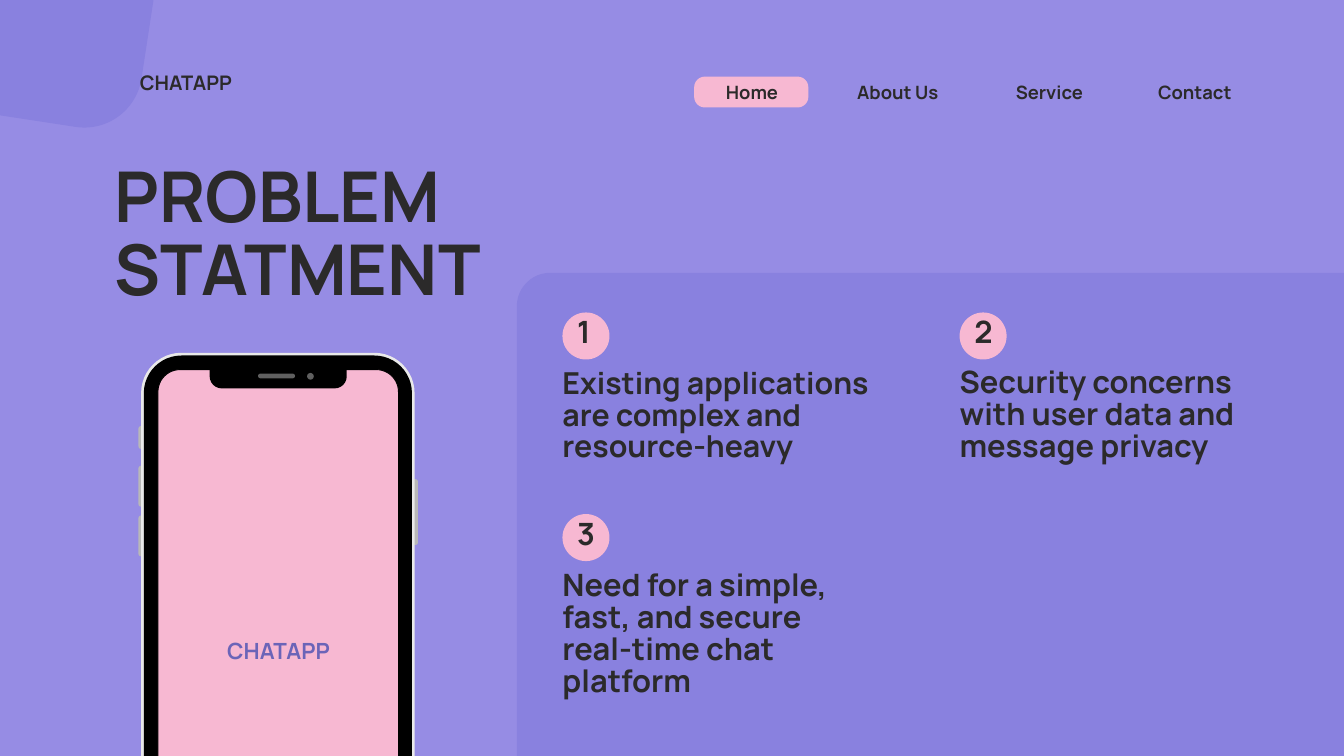
from dataclasses import dataclass

from lxml.etree import SubElement
from pptx import Presentation
from pptx.dml.color import RGBColor
from pptx.enum.shapes import MSO_SHAPE
from pptx.enum.text import MSO_ANCHOR, MSO_AUTO_SIZE, PP_ALIGN
from pptx.oxml.ns import qn
from pptx.util import Inches, Pt


@dataclass(frozen=True)
class Theme:
    font: str = "Manrope"
    background: str = "968CE4"
    panel: str = "8981DF"
    accent: str = "F7B8D2"
    ink: str = "2B2A2A"
    screen_text: str = "6B64B8"
    phone_body: str = "000000"
    phone_frame: str = "E9E9E9"
    phone_button: str = "B8B8B8"
    phone_sensor: str = "606060"
    title_size: float = 75
    number_size: float = 32.9
    brand_size: float = 21.5
    screen_size: float = 23.9
    nav_size: float = 19.7


class SlideBuilder:
    def __init__(self, slide, theme):
        self.slide = slide
        self.theme = theme
        fill = slide.background.fill
        fill.solid()
        fill.fore_color.rgb = RGBColor.from_string(theme.background)

    def shape(self, kind, left, top, width, height, color):
        shape = self.slide.shapes.add_shape(
            kind, Inches(left), Inches(top), Inches(width), Inches(height))
        shape.shadow.inherit = False
        shape.fill.solid()
        shape.fill.fore_color.rgb = RGBColor.from_string(color)
        shape.line.fill.background()
        return shape

    def rounded(self, left, top, width, height, radius, color):
        shape = self.shape(MSO_SHAPE.ROUNDED_RECTANGLE, left, top, width, height, color)
        shape.adjustments[0] = radius / min(width, height)
        return shape

    def style_text(self, shape, text, size, color, spacing, align):
        """Fill a frame without insets, with line spacing in points."""
        frame = shape.text_frame
        frame.text = text
        frame.word_wrap = True
        frame.auto_size = MSO_AUTO_SIZE.NONE
        frame.vertical_anchor = MSO_ANCHOR.TOP
        frame.margin_left = frame.margin_right = 0
        frame.margin_top = frame.margin_bottom = 0
        for paragraph in frame.paragraphs:
            paragraph.alignment = align
            paragraph.line_spacing = Pt(spacing)
            paragraph.space_before = Pt(0)
            for run in paragraph.runs:
                run.font.name = self.theme.font
                run.font.size = Pt(size)
                run.font.bold = True
                run.font.color.rgb = RGBColor.from_string(color)

    def text(self, text, left, top, width, height, size, spacing,
             color=None, align=PP_ALIGN.LEFT):
        box = self.slide.shapes.add_textbox(
            Inches(left), Inches(top), Inches(width), Inches(height))
        self.style_text(box, text, size, color or self.theme.ink, spacing, align)

    def placeholder(self, placeholder, text, left, top, width, height, size, spacing):
        """Place a template placeholder in front, without bullets."""
        placeholder.left, placeholder.top = Inches(left), Inches(top)
        placeholder.width, placeholder.height = Inches(width), Inches(height)
        self.style_text(placeholder, text, size, self.theme.ink, spacing, PP_ALIGN.LEFT)
        for paragraph in placeholder.text_frame.paragraphs:
            properties = paragraph._p.get_or_add_pPr()
            properties.set("marL", "0")
            properties.set("indent", "0")
            SubElement(properties, qn("a:buNone"))
        self.slide.shapes._spTree.append(placeholder._element)

    def navigation(self, items):
        self.rounded(10.33, 1.14, 1.7, 0.46, 0.16, self.theme.accent)
        for label, left, width in items:
            self.text(label, left, 1.15, width, 0.38, self.theme.nav_size, 27.5,
                      align=PP_ALIGN.CENTER)

    def number_badge(self, number, left, top):
        self.shape(MSO_SHAPE.OVAL, left, top, 0.7, 0.7, self.theme.accent)
        self.text(str(number), left + 0.22, top + 0.08, 0.4, 0.52,
                  self.theme.number_size, 34.2)

    def phone(self):
        theme = self.theme
        buttons = [(2.06, 6.34, 0.34), (2.06, 6.93, 0.61),
                   (2.06, 7.67, 0.61), (6.14, 7.13, 0.98)]
        for left, top, height in buttons:
            self.rounded(left, top, 0.08, height, 0.04, theme.phone_button)
        self.rounded(2.1, 5.25, 4.07, 8.23, 0.6, theme.phone_frame)
        self.rounded(2.14, 5.29, 3.99, 8.15, 0.56, theme.phone_body)
        screen = self.rounded(2.35, 5.5, 3.58, 7.75, 0.33, theme.accent)
        screen.line.color.rgb = RGBColor.from_string(theme.phone_body)
        screen.line.width = Pt(1)
        notch = self.shape(MSO_SHAPE.ROUND_2_SAME_RECTANGLE,
                           3.12, 5.42, 2.04, 0.36, theme.phone_body)
        notch.adjustments[0], notch.adjustments[1] = 0, 0.5
        self.rounded(3.84, 5.56, 0.55, 0.07, 0.035, theme.phone_sensor)
        self.shape(MSO_SHAPE.OVAL, 4.57, 5.55, 0.1, 0.1, theme.phone_sensor)
        self.text("CHATAPP", 2.97, 9.53, 2.35, 0.39, theme.screen_size, 25.6,
                  theme.screen_text, PP_ALIGN.CENTER)


def main():
    presentation = Presentation()
    presentation.slide_width = Inches(20)
    presentation.slide_height = Inches(11.25)
    comparison_layout = presentation.slide_layouts[4]
    slide = presentation.slides.add_slide(comparison_layout)
    theme = Theme()
    builder = SlideBuilder(slide, theme)
    title, *bodies = list(slide.placeholders)

    corner = builder.rounded(-2.48, -4.75, 4.97, 6.43, 0.86, theme.panel)
    corner.rotation = 8.7
    builder.rounded(7.69, 4.06, 13.88, 10.34, 0.5, theme.panel)
    builder.navigation([("Home", 10.6, 1.18), ("About Us", 12.57, 1.58),
                        ("Service", 14.95, 1.33), ("Contact", 17.08, 1.4)])

    # text, column left, badge top, gap to text, width, height, type size
    points = [
        ("Existing applications are complex and resource-heavy",
         8.37, 4.65, 0.85, 4.99, 1.42, 32.4),
        ("Security concerns with user data and message privacy",
         14.28, 4.65, 0.82, 4.4, 1.46, 33),
        ("Need for a simple, fast, and secure real-time chat platform",
         8.37, 7.65, 0.84, 4.12, 1.93, 33),
    ]
    for number, (body, point) in enumerate(zip(bodies, points), start=1):
        text, left, top, gap, width, height, size = point
        builder.number_badge(number, left, top)
        builder.placeholder(body, text, left, top + gap, width, height,
                            size, round(size * 1.04, 1))
    for unused in bodies[len(points):]:
        unused._element.getparent().remove(unused._element)

    builder.placeholder(title, "PROBLEM\nSTATMENT", 1.71, 2.44, 6.36, 2.27,
                        theme.title_size, 77.8)
    builder.phone()
    builder.text("CHATAPP", 2.08, 1.09, 2.11, 0.36, theme.brand_size, 23)
    presentation.save("out.pptx")


if __name__ == "__main__":
    main()
